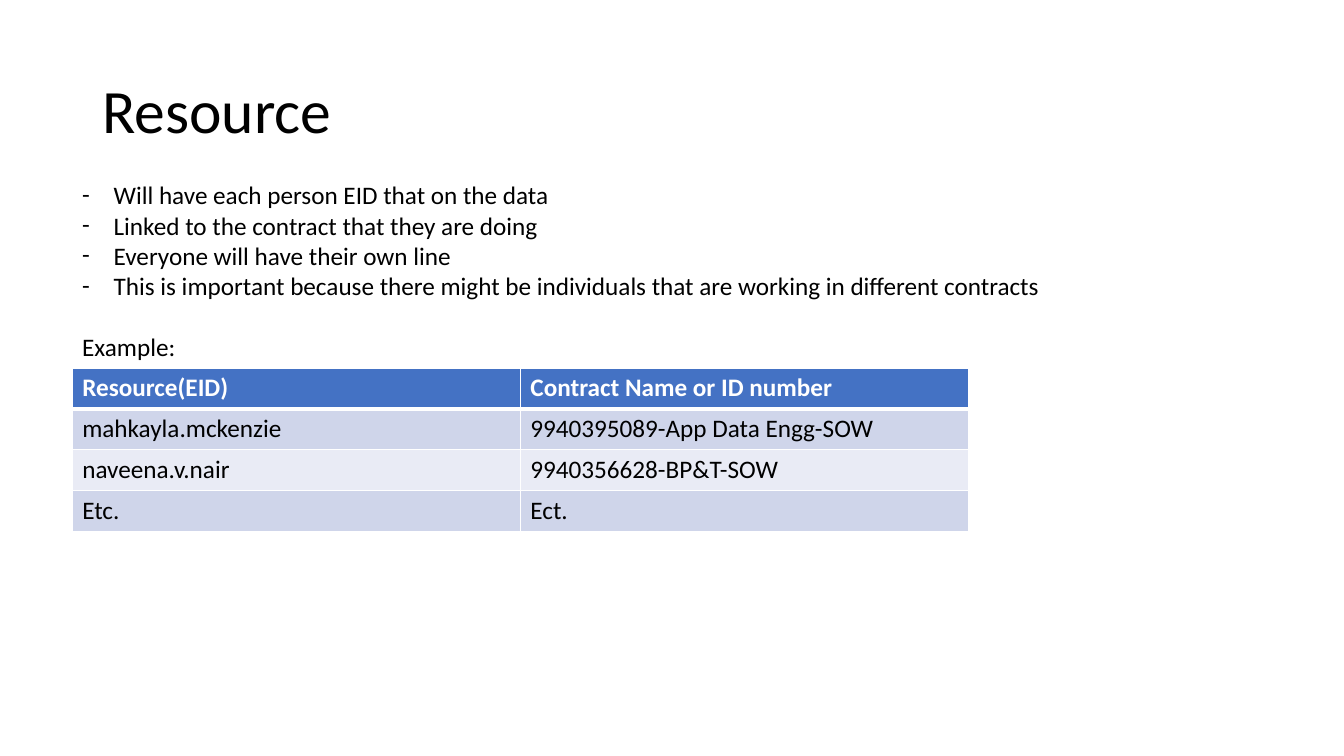
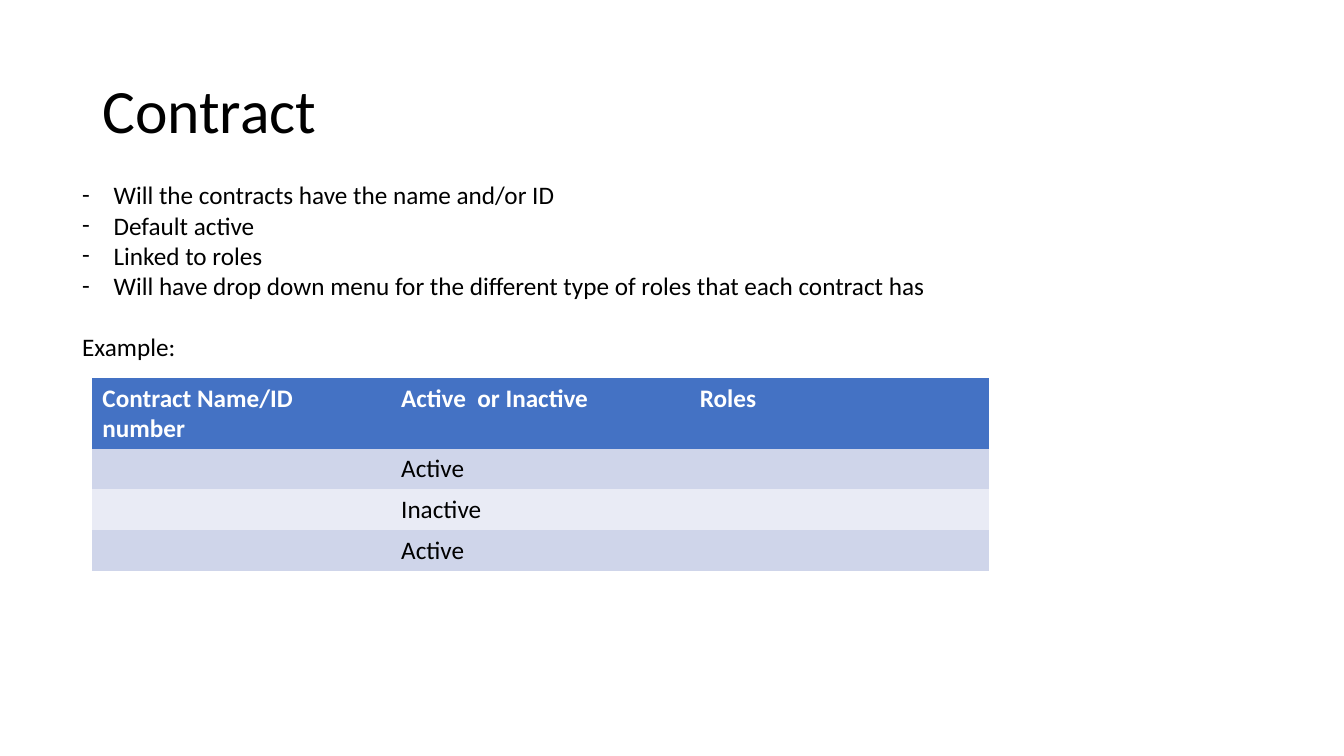
from lxml import etree
from pptx import Presentation
from pptx import util as u
from pptx.dml.color import RGBColor
from pptx.enum import text
from pptx.oxml import ns

COLORS = {"ink": "000000", "paper": "FFFFFF", "header": "4472C4",
          "band": "CFD5EA", "light_band": "E9EBF5"}
FONT = "Calibri"
PLAIN_TABLE = "{2D5ABB26-0587-4C30-8999-92F81FD0307C}"

# The slide is a grid of 160 columns by 90 rows; boxes are left, top, width, height.
CELL = u.Inches(1) / 12
TITLE_BOX = (11, 4.8, 138, 17.4)
NOTES_BOX = (8.6, 20.8, 142.7, 23)
TABLE_WIDTH, ROW_HEIGHT = 106.7, 4.86
BULLET_INDENT = 3.75

TITLE_STYLE = {"size": u.Pt(44), "name": FONT, "bold": False}
BODY_STYLE = {"size": u.Pt(18), "name": FONT, "bold": False}
HEADER_STYLE = {**BODY_STYLE, "bold": True}

SLIDES = [
    {
        "title": "Resource",
        "points": [
            "Will have each person EID that on the data",
            "Linked to the contract that they are doing",
            "Everyone will have their own line",
            "This is important because there might be individuals "
            "that are working in different contracts",
        ],
        "table_at": (8.6, 43.8),
        "ruled": True,
        "rows": [
            ["Resource(EID)", "Contract Name or ID number"],
            ["mahkayla.mckenzie", "9940395089-App Data Engg-SOW"],
            ["naveena.v.nair", "9940356628-BP&T-SOW"],
            ["Etc.", "Ect."],
        ],
    },
    {
        "title": "Contract",
        "points": [
            "Will the contracts have the name and/or ID",
            "Default active",
            "Linked to roles",
            "Will have drop down menu for the different type of roles "
            "that each contract has",
        ],
        "table_at": (11, 45),
        "ruled": False,
        "rows": [
            ["Contract Name/ID number", "Active  or Inactive", "Roles"],
            ["", "Active", ""],
            ["", "Inactive", ""],
            ["", "Active", ""],
        ],
    },
]


def grid(*units):
    """Turn grid units into slide lengths."""
    return [u.Emu(round(unit * CELL)) for unit in units]


def write(paragraph, words, style, color="ink"):
    """Put one formatted run into a paragraph."""
    run = paragraph.add_run()
    run.text = words
    for name, value in style.items():
        setattr(run.font, name, value)
    run.font.color.rgb = RGBColor.from_string(COLORS[color])


def add_text_frame(slide, box):
    """Add a wrapping text box and return its text frame."""
    frame = slide.shapes.add_textbox(*grid(*box)).text_frame
    frame.word_wrap = True
    return frame


def add_title(slide, box, words):
    """Place the slide title, centred vertically in its box."""
    frame = add_text_frame(slide, box)
    frame.vertical_anchor = text.MSO_ANCHOR.MIDDLE
    paragraph = frame.paragraphs[0]
    paragraph.line_spacing = 0.9
    write(paragraph, words, TITLE_STYLE)


def add_dash(paragraph):
    """Give a paragraph a hanging dash."""
    properties = paragraph._p.get_or_add_pPr()
    indent = grid(BULLET_INDENT)[0]
    properties.set("marL", str(indent))
    properties.set("indent", str(-indent))
    etree.SubElement(properties, ns.qn("a:buFont"), typeface=FONT)
    etree.SubElement(properties, ns.qn("a:buChar"), char="-")


def add_notes(slide, box, points):
    """Place the dashed points and the label that leads to the table."""
    frame = add_text_frame(slide, box)
    for index, point in enumerate(points):
        paragraph = frame.add_paragraph() if index else frame.paragraphs[0]
        write(paragraph, point, BODY_STYLE)
        add_dash(paragraph)
    label = frame.add_paragraph()
    label.space_before = u.Pt(22)
    write(label, "Example:", BODY_STYLE)


def add_borders(cell, bottom):
    """Rule a cell in white, with the given bottom width in points."""
    properties = cell._tc.get_or_add_tcPr()
    widths = {"a:lnL": 1, "a:lnR": 1, "a:lnT": 1, "a:lnB": bottom}
    for position, (side, width) in enumerate(widths.items()):
        line = etree.Element(ns.qn(side), w=str(u.Pt(width)))
        fill = etree.SubElement(line, ns.qn("a:solidFill"))
        etree.SubElement(fill, ns.qn("a:srgbClr"), val=COLORS["paper"])
        properties.insert(position, line)


def add_banded_table(slide, box, rows, ruled):
    """Place a table of equal columns with a header and banded rows."""
    table = slide.shapes.add_table(len(rows), len(rows[0]), *grid(*box)).table
    table._tbl.tblPr.find(ns.qn("a:tableStyleId")).text = PLAIN_TABLE
    for row_index, row in enumerate(rows):
        is_header = row_index == 0
        band = "band" if row_index % 2 else "light_band"
        for column_index, words in enumerate(row):
            cell = table.cell(row_index, column_index)
            cell.fill.solid()
            cell.fill.fore_color.rgb = RGBColor.from_string(
                COLORS["header" if is_header else band])
            if words:
                write(cell.text_frame.paragraphs[0], words,
                      HEADER_STYLE if is_header else BODY_STYLE,
                      "paper" if is_header else "ink")
            if ruled:
                add_borders(cell, 3 if is_header else 1)


def add_entity_slide(presentation, content):
    """Build a slide with a title, notes and an example table."""
    slide = presentation.slides.add_slide(presentation.slide_layouts[6])
    add_title(slide, TITLE_BOX, content["title"])
    add_notes(slide, NOTES_BOX, content["points"])
    rows = content["rows"]
    box = (*content["table_at"], TABLE_WIDTH, ROW_HEIGHT * len(rows))
    add_banded_table(slide, box, rows, content["ruled"])


def main():
    """Build and save the presentation."""
    presentation = Presentation()
    presentation.slide_width, presentation.slide_height = grid(160, 90)
    for content in SLIDES:
        add_entity_slide(presentation, content)
    presentation.save("out.pptx")


main()
